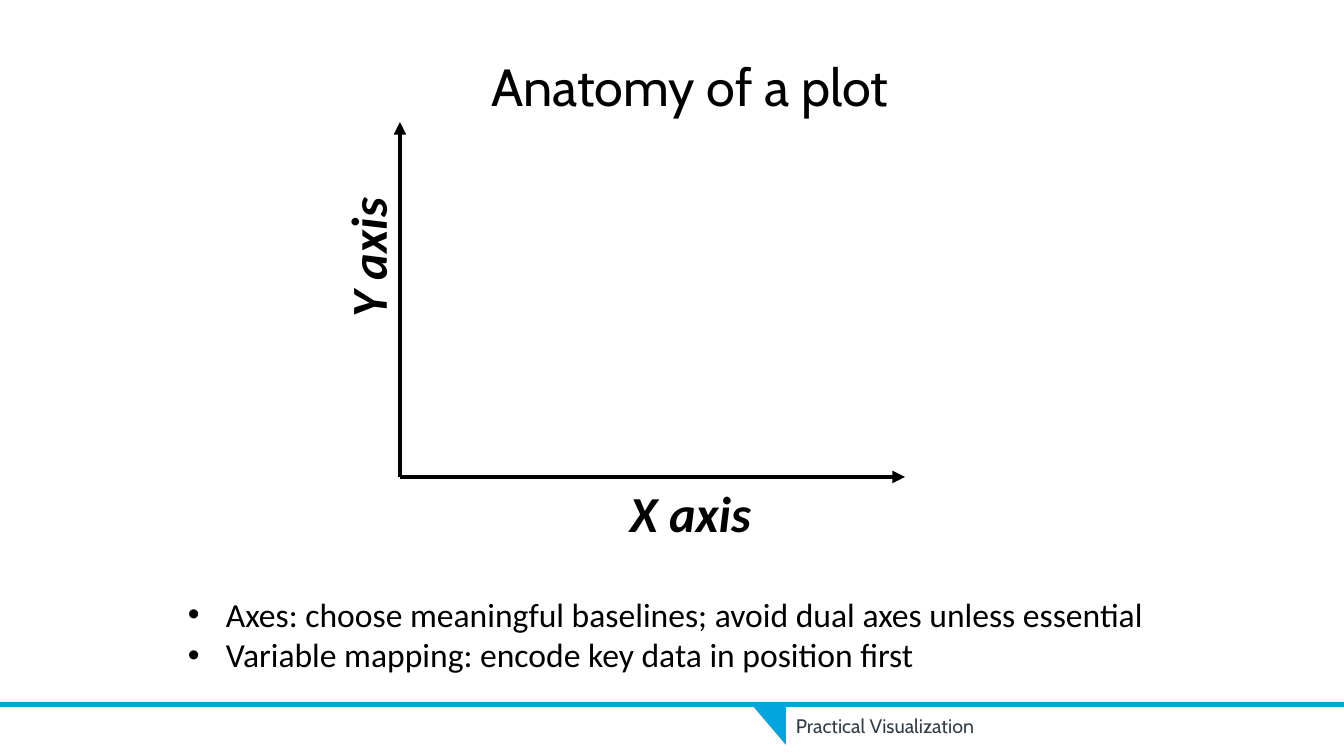
from dataclasses import dataclass

from lxml import etree
from pptx import Presentation
from pptx.dml.color import RGBColor
from pptx.enum.shapes import MSO_CONNECTOR, MSO_SHAPE
from pptx.enum.text import PP_ALIGN
from pptx.oxml.ns import qn
from pptx.util import Emu, Pt

RECTANGLE = MSO_SHAPE.RECTANGLE
RIGHT_TRIANGLE = MSO_SHAPE.RIGHT_TRIANGLE
STRAIGHT = MSO_CONNECTOR.STRAIGHT
LEFT = PP_ALIGN.LEFT
CENTER = PP_ALIGN.CENTER

COLORS = {"accent": "00A5DD", "footer": "333F48", "ink": "000000"}
EMU_PER_PX = 914400 / 100.8
BULLET_INDENT = 38


def px(length: int) -> Emu:
    return Emu(round(length * EMU_PER_PX))


@dataclass(frozen=True)
class Ornament:
    preset: MSO_SHAPE
    box: tuple[int, int, int, int]
    rotation: int = 0


@dataclass(frozen=True)
class Axis:
    start: tuple[int, int]
    tip: tuple[int, int]


@dataclass(frozen=True)
class Text:
    lines: tuple[str, ...]
    box: tuple[int, int, int, int]
    font: dict
    color: str = "ink"
    rotation: int = 0
    align: PP_ALIGN = LEFT
    line_spacing: float = 1.0
    margin_top: int = 5
    bulleted: bool = False


AXIS_FONT = {"name": "Calibri", "size": Pt(36), "bold": True, "italic": True}
ORIGIN = (400, 477)

ORNAMENTS = (
    Ornament(RECTANGLE, (0, 702, 1344, 5)),
    Ornament(RIGHT_TRIANGLE, (752, 705, 34, 40), 180),
)
AXES = (Axis(ORIGIN, (905, 477)), Axis(ORIGIN, (400, 122)))
TEXTS = (
    Text(("Practical Visualization",), (786, 717, 557, 21),
         {"name": "Cabin", "size": Pt(14)}, color="footer",
         line_spacing=0.9, margin_top=0),
    Text(("Anatomy of a plot",), (36, 18, 1308, 677),
         {"name": "Cabin", "size": Pt(37.3)}, align=CENTER, line_spacing=1.5),
    Text(("X axis",), (620, 477, 159, 72), AXIS_FONT),
    Text(("Y axis",), (284, 208, 167, 72), AXIS_FONT, rotation=270),
    Text(("Axes: choose meaningful baselines; avoid dual axes unless essential",
          "Variable mapping: encode key data in position first"),
         (178, 589, 1023, 92), {"name": "Calibri", "size": Pt(24)}, bulleted=True),
)


def draw_ornament(slide, ornament: Ornament) -> None:
    shape = slide.shapes.add_shape(ornament.preset, *map(px, ornament.box))
    shape.rotation = ornament.rotation
    shape.shadow.inherit = False
    shape.fill.solid()
    shape.fill.fore_color.rgb = RGBColor.from_string(COLORS["accent"])
    shape.line.fill.background()


def draw_axis(slide, axis: Axis) -> None:
    arrow = slide.shapes.add_connector(STRAIGHT, *map(px, axis.start + axis.tip))
    arrow.line.width = Pt(3)
    arrow.line.color.rgb = RGBColor.from_string(COLORS["ink"])
    etree.SubElement(arrow.line._get_or_add_ln(), qn("a:tailEnd"), type="triangle")
    etree.SubElement(arrow._element.spPr, qn("a:effectLst"))


def add_bullet(paragraph) -> None:
    properties = paragraph._p.get_or_add_pPr()
    properties.set("marL", str(px(BULLET_INDENT)))
    properties.set("indent", str(-px(BULLET_INDENT)))
    etree.SubElement(properties, qn("a:buFont"), typeface="Arial")
    etree.SubElement(properties, qn("a:buChar"), char="•")


def draw_text(slide, text: Text) -> None:
    box = slide.shapes.add_textbox(*map(px, text.box))
    box.rotation = text.rotation
    frame = box.text_frame
    frame.word_wrap = True
    frame.margin_top = frame.margin_bottom = px(text.margin_top)
    for index, line in enumerate(text.lines):
        paragraph = frame.add_paragraph() if index else frame.paragraphs[0]
        paragraph.alignment = text.align
        paragraph.line_spacing = text.line_spacing
        if text.bulleted:
            add_bullet(paragraph)
        run = paragraph.add_run()
        run.text = line
        for attribute, value in text.font.items():
            setattr(run.font, attribute, value)
        run.font.color.rgb = RGBColor.from_string(COLORS[text.color])


def main() -> None:
    presentation = Presentation()
    presentation.slide_width = px(1344)
    presentation.slide_height = px(756)
    slide = presentation.slides.add_slide(presentation.slide_layouts[6])
    for ornament in ORNAMENTS:
        draw_ornament(slide, ornament)
    for axis in AXES:
        draw_axis(slide, axis)
    for text in TEXTS:
        draw_text(slide, text)
    presentation.save("out.pptx")


if __name__ == "__main__":
    main()
